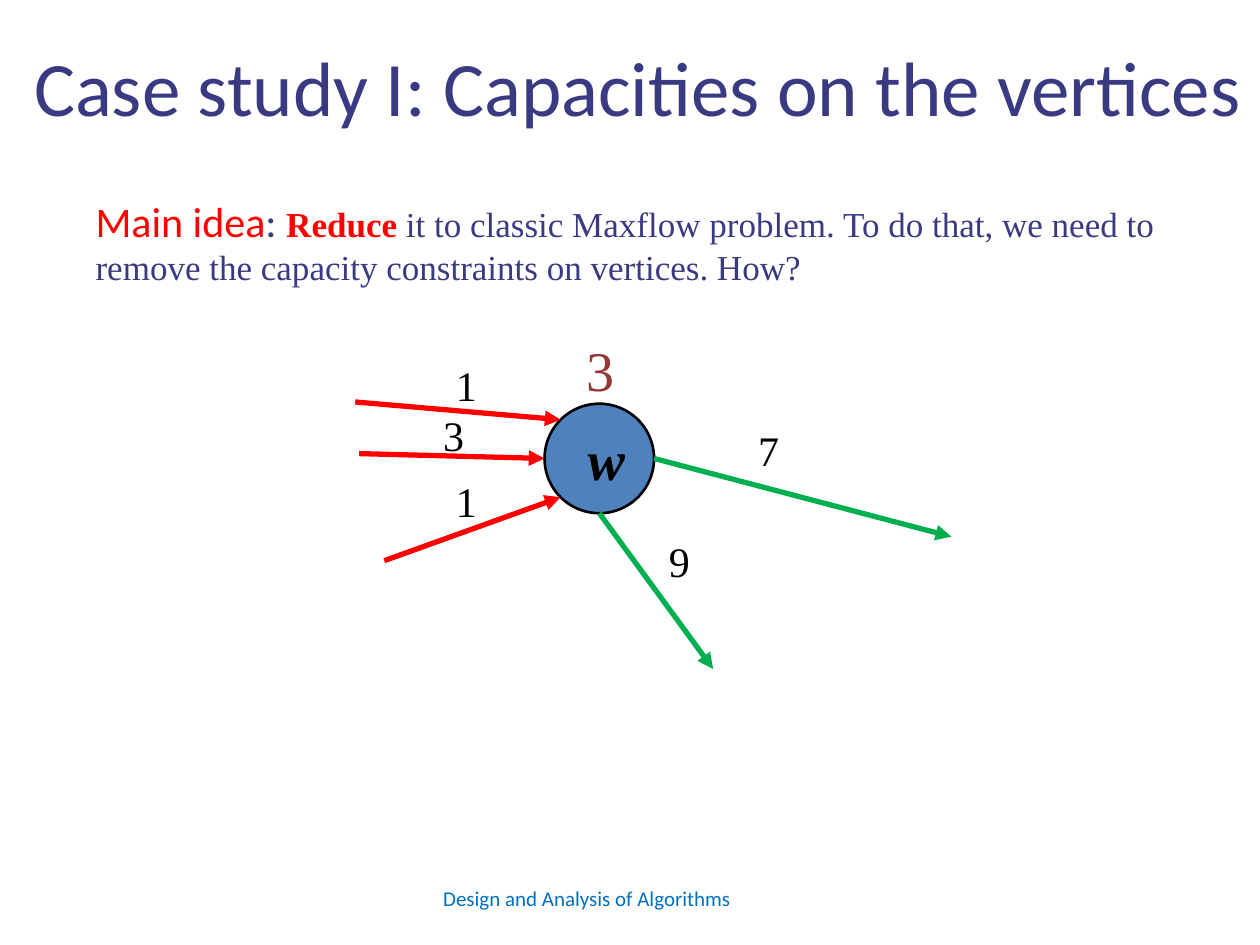
from math import cos, radians, sin

from lxml import etree
from pptx import Presentation
from pptx.dml.color import RGBColor
from pptx.enum.shapes import MSO_CONNECTOR, MSO_SHAPE
from pptx.enum.text import MSO_ANCHOR, PP_ALIGN
from pptx.oxml.ns import qn
from pptx.util import Pt

STRAIGHT = MSO_CONNECTOR.STRAIGHT
OVAL = MSO_SHAPE.OVAL
TOP, MIDDLE = MSO_ANCHOR.TOP, MSO_ANCHOR.MIDDLE
CENTER = PP_ALIGN.CENTER

COLORS = {
    "heading": "3A3A82",
    "accent": "FF0000",
    "footer": "0070C0",
    "vertex": "4F81BD",
    "capacity": "953735",
    "incoming": "FF0000",
    "outgoing": "00B050",
    "ink": "000000",
}
SANS, SERIF = "Calibri", "Times New Roman"
TITLE_ONLY = 5


def rgb(key):
    return RGBColor.from_string(COLORS[key])


def style(font, face, size, color, bold=False, italic=False):
    font.name, font.size = face, Pt(size)
    font.bold, font.italic = bold, italic
    font.color.rgb = rgb(color)


def add_text(slide, box, text, face, size, color):
    frame = slide.shapes.add_textbox(*map(Pt, box)).text_frame
    frame.word_wrap = True
    paragraph = frame.paragraphs[0]
    paragraph.text = text
    style(paragraph.font, face, size, color)
    return paragraph


def add_arrow(slide, start, end, color):
    edge = slide.shapes.add_connector(STRAIGHT, *map(Pt, (*start, *end)))
    edge.line.color.rgb = rgb(color)
    edge.line.width = Pt(3)
    etree.SubElement(edge.line._get_or_add_ln(), qn("a:tailEnd"), type="triangle")
    etree.SubElement(edge._element.spPr, qn("a:effectLst"))


def place_title(slide, box):
    title = slide.shapes.title
    title.left, title.top, title.width, title.height = map(Pt, box)
    frame = title.text_frame
    frame.vertical_anchor = TOP
    frame.margin_left = frame.margin_right = Pt(7.2)
    frame.margin_top = Pt(9.4)
    paragraph = frame.paragraphs[0]
    paragraph.text = "Case study I: Capacities on the vertices"
    paragraph.alignment = CENTER
    style(paragraph.font, SANS, 44, "heading")


def place_main_idea(slide, box):
    paragraph = add_text(slide, box, "", SERIF, 20, "heading")
    for text, face, size, color, bold in (
        ("Main idea", SANS, 24, "accent", False),
        (": ", SANS, 24, "heading", False),
        ("Reduce", SERIF, 20, "accent", True),
        (" it to classic Maxflow problem. To do that, we need to remove "
         "the capacity constraints on vertices. How?", SERIF, 20, "heading", False),
    ):
        run = paragraph.add_run()
        run.text = text
        style(run.font, face, size, color, bold)


def place_vertex(slide, center, radius):
    x, y = center
    vertex = slide.shapes.add_shape(
        OVAL, Pt(x - radius), Pt(y - radius), Pt(2 * radius), Pt(2 * radius))
    vertex.shadow.inherit = False
    vertex.fill.solid()
    vertex.fill.fore_color.rgb = rgb("vertex")
    vertex.line.color.rgb = rgb("ink")
    vertex.line.width = Pt(1.5)
    frame = vertex.text_frame
    frame.word_wrap = False
    frame.vertical_anchor = MIDDLE
    paragraph = frame.paragraphs[0]
    paragraph.text = " w"
    paragraph.alignment = CENTER
    style(paragraph.font, SERIF, 32, "ink", bold=True, italic=True)


def place_flow_graph(slide, left, top):
    radius = 31.3
    center_x, center_y = left + 139.5, top + 74
    place_vertex(slide, (center_x, center_y), radius)

    edges = (
        ("1", "incoming", 225, (0, 41.7), (50.4, 13.7)),
        ("3", "incoming", 180, (2.2, 71.2), (43.2, 42.5)),
        ("1", "incoming", 135, (16.6, 132.4), (50.4, 80)),
        ("7", "outgoing", 0, (340.6, 118.7), (223.2, 51.1)),
        ("9", "outgoing", 90, (204.5, 194.3), (172.1, 114.5)),
    )
    for capacity, direction, angle, far, label in edges:
        rim = (center_x + radius * cos(radians(angle)),
               center_y + radius * sin(radians(angle)))
        outer = (left + far[0], top + far[1])
        start, end = (outer, rim) if direction == "incoming" else (rim, outer)
        add_arrow(slide, start, end, direction)
        add_text(slide, (left + label[0], top + label[1], 32.4, 36),
                 capacity, SERIF, 24, "ink")

    add_text(slide, (left + 125.3, top, 47.5, 46), "3", SERIF, 32, "capacity")


def place_footer(slide, box):
    add_text(slide, box, "Design and Analysis of Algorithms", SANS, 12, "footer")


def main():
    deck = Presentation()
    deck.slide_width, deck.slide_height = Pt(720), Pt(540)
    slide = deck.slides.add_slide(deck.slide_layouts[TITLE_ONLY])
    place_title(slide, (0, 13, 729.4, 45.4))
    place_main_idea(slide, (47.5, 108, 635, 60.5))
    place_flow_graph(slide, 203, 188)
    place_footer(slide, (246.2, 502.6, 228.2, 28.8))
    deck.save("out.pptx")


if __name__ == "__main__":
    main()
